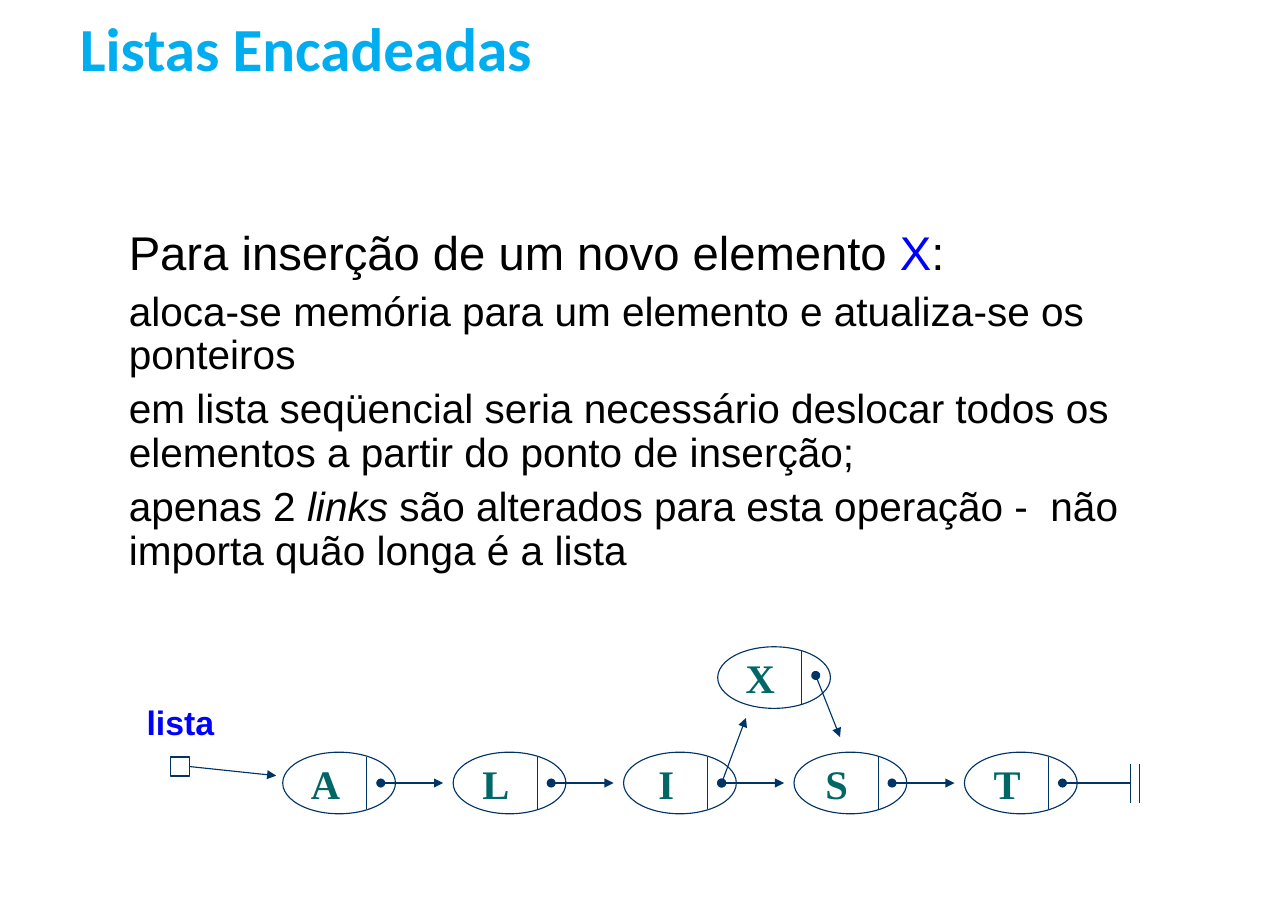
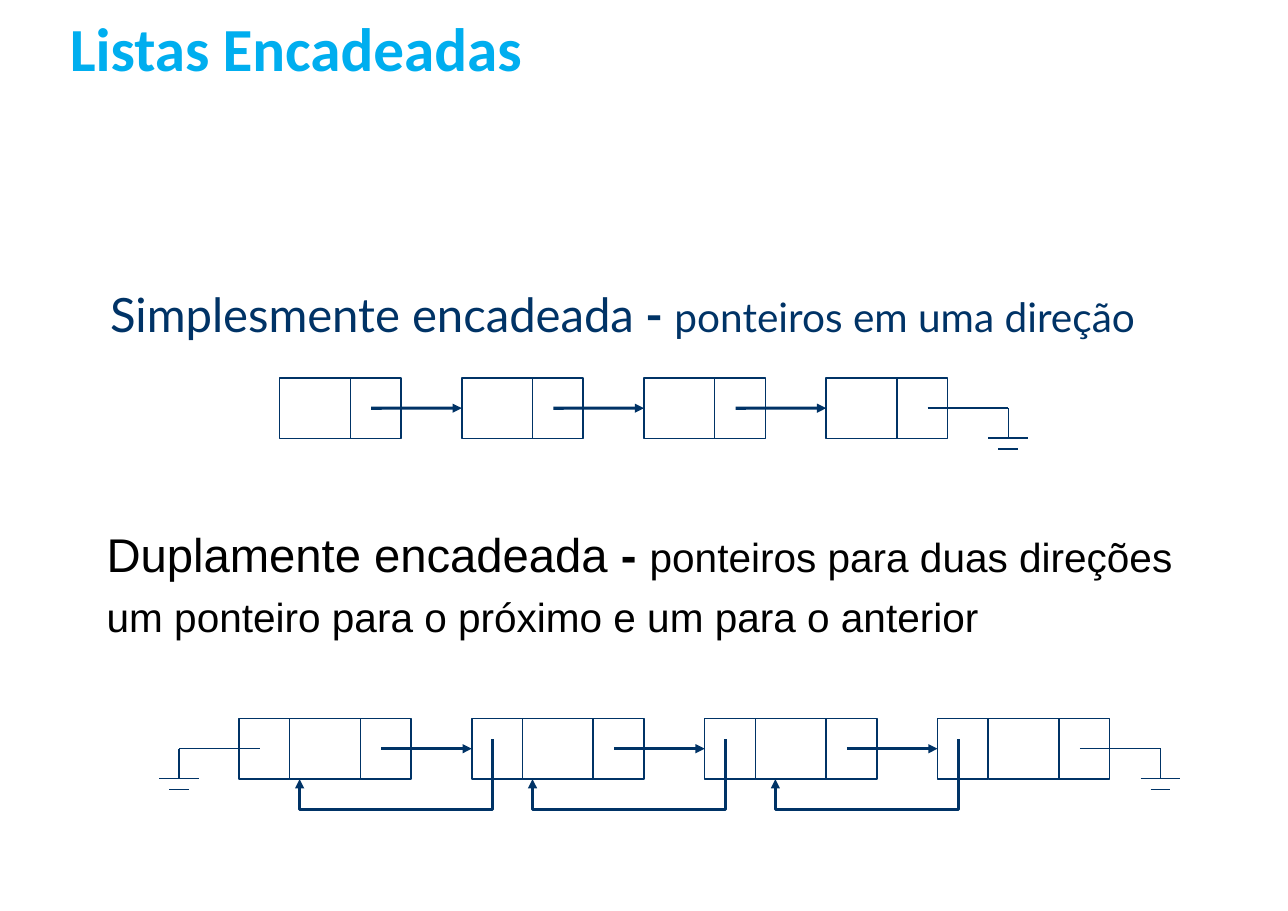
"""Build two slides about linked lists."""
from lxml import etree
from pptx import Presentation
from pptx.dml.color import RGBColor
from pptx.enum.shapes import MSO_CONNECTOR, MSO_SHAPE
from pptx.enum.text import MSO_ANCHOR, MSO_AUTO_SIZE, PP_ALIGN
from pptx.oxml.ns import qn
from pptx.util import Cm, Pt

STRAIGHT = MSO_CONNECTOR.STRAIGHT
OVAL, RECTANGLE = MSO_SHAPE.OVAL, MSO_SHAPE.RECTANGLE
TOP, MIDDLE, BOTTOM = MSO_ANCHOR.TOP, MSO_ANCHOR.MIDDLE, MSO_ANCHOR.BOTTOM
LEFT, CENTER = PP_ALIGN.LEFT, PP_ALIGN.CENTER
NO_AUTOFIT = MSO_AUTO_SIZE.NONE
LEFT_SIDE, RIGHT_SIDE = 1, 3

NAVY = RGBColor(0x00, 0x33, 0x66)
CYAN = RGBColor(0x00, 0xAE, 0xEF)
ORANGE = RGBColor(0xFF, 0x66, 0x00)
BLUE = RGBColor(0x00, 0x00, 0xFF)
TEAL = RGBColor(0x00, 0x66, 0x66)
BLACK = RGBColor(0x00, 0x00, 0x00)

LARGE, MEDIUM, SMALL = 30.9, 26.5, 22.1
THIN, NORMAL, THICK = 0.75, 1, 2

NODE_WIDTH, NODE_HEIGHT, NODE_PITCH = 2.6, 1.42, 3.93
DOT_X, DOT_Y, LINK_LENGTH = 2.26, 0.71, 1.44
DATA_WIDTH, POINTER_WIDTH, CELL_HEIGHT = 1.63, 1.17, 1.4
POINTER_START = 0.48


def add_run(paragraph, text, size, color, font="Arial", bold=False, italic=False):
    """Add one formatted run to a paragraph."""
    run = paragraph.add_run()
    run.text = text
    run.font.name = font
    run.font.size = Pt(size)
    run.font.color.rgb = color
    run.font.bold = bold
    run.font.italic = italic


def place(shape, left, top, width, height):
    """Move and size a shape, in centimetres."""
    shape.left, shape.top = Cm(left), Cm(top)
    shape.width, shape.height = Cm(width), Cm(height)


def set_frame(shape, anchor, insets):
    """Set wrapping, anchor and left, top, right, bottom insets; return the frame."""
    frame = shape.text_frame
    frame.word_wrap = True
    frame.auto_size = NO_AUTOFIT
    frame.vertical_anchor = anchor
    frame.margin_left, frame.margin_top, frame.margin_right, frame.margin_bottom = map(Cm, insets)
    return frame


def style_outline(shape, weight, head=None, tail=None):
    """Give a shape or connector a navy line with optional line ends."""
    shape.line.color.rgb = NAVY
    shape.line.width = Pt(weight)
    line = shape.element.spPr.find(qn("a:ln"))
    for tag, end in (("a:headEnd", head), ("a:tailEnd", tail)):
        if end:
            etree.SubElement(line, qn(tag), type=end)


def add_line(slide, start, end, weight, head=None, tail=None):
    """Draw a straight connector between two points in centimetres."""
    connector = slide.shapes.add_connector(STRAIGHT, *map(Cm, (*start, *end)))
    style_outline(connector, weight, head, tail)
    etree.SubElement(connector.element.spPr, qn("a:effectLst"))
    return connector


def add_outline(slide, kind, left, top, width, height, weight):
    """Draw an unfilled preset shape."""
    shape = slide.shapes.add_shape(kind, *map(Cm, (left, top, width, height)))
    shape.shadow.inherit = False
    shape.fill.background()
    style_outline(shape, weight)
    return shape


def add_titled_slide(presentation, title_left):
    """Add a title-and-content slide with the shared title."""
    slide = presentation.slides.add_slide(presentation.slide_layouts[1])
    title = slide.shapes.title
    place(title, title_left, 0.03, 23.83, 1.95)
    paragraph = set_frame(title, BOTTOM, (0.77, 0, 0.2, 0.04)).paragraphs[0]
    paragraph.alignment = LEFT
    add_run(paragraph, "Listas", 40, CYAN, "Calibri", bold=True)
    add_run(paragraph, " ", LARGE, ORANGE, bold=True)
    add_run(paragraph, "Encadeadas", 40, CYAN, "Calibri", bold=True)
    return slide


def fill_body(slide, box, paragraphs, line_spacing):
    """Fill the body placeholder from (level, space before, runs) entries."""
    body = slide.placeholders[1]
    place(body, *box)
    frame = set_frame(body, TOP, (0.2, 0.22, 0.2, 0.2))
    for index, (level, space_before, runs) in enumerate(paragraphs):
        paragraph = frame.add_paragraph() if index else frame.paragraphs[0]
        paragraph.level = level
        paragraph.alignment = LEFT
        paragraph.line_spacing = line_spacing
        paragraph.space_before = Pt(space_before)
        properties = paragraph._p.get_or_add_pPr()
        properties.set("marL", "0")
        properties.set("indent", "0")
        etree.SubElement(properties, qn("a:buNone"))
        for text, size, style in runs:
            add_run(paragraph, text, size, **{"color": BLACK, **style})


def add_oval_node(slide, left, top, letter):
    """Draw an oval list node with its letter and divider; return its dot position."""
    node = add_outline(slide, OVAL, left, top, NODE_WIDTH, NODE_HEIGHT, THIN)
    paragraph = set_frame(node, MIDDLE, (0, 0, 0.63, 0)).paragraphs[0]
    paragraph.alignment = CENTER
    add_run(paragraph, letter, MEDIUM, TEAL, "Times New Roman", bold=True)
    divider = left + 1.94
    add_line(slide, (divider, top + 0.1), (divider, top + 1.32), THIN)
    return left + DOT_X, top + DOT_Y


def draw_insertion(slide, left, top):
    """Draw the list A-L-I-S-T with X being inserted, from the label's left and X's top."""
    label = slide.shapes.add_textbox(Cm(left), Cm(top + 1.22), Cm(2.64), Cm(0.9))
    paragraph = set_frame(label, TOP, (0.05, 0.05, 0.05, 0.05)).paragraphs[0]
    paragraph.alignment = CENTER
    add_run(paragraph, "lista", SMALL, BLUE, bold=True)

    pointer = add_outline(slide, RECTANGLE, left + 1.09, top + 2.54, 0.44, 0.44, THIN)
    entry = add_line(slide, (left + 1.53, top + 2.76), (left + 3.53, top + 2.97), THIN, tail="triangle")
    entry.begin_connect(pointer, RIGHT_SIDE)

    dots = {}
    for index, letter in enumerate("ALIST"):
        dots[letter] = add_oval_node(slide, left + 3.68 + index * NODE_PITCH, top + 2.43, letter)
    for letter in "ALIS":
        x, y = dots[letter]
        add_line(slide, (x, y), (x + LINK_LENGTH, y), THIN, "oval", "triangle")

    x, y = dots["I"]
    add_line(slide, (x, y), (x + 0.56, y - 1.5), THIN, "oval", "triangle")
    x, y = add_oval_node(slide, left + 13.71, top, "X")
    add_line(slide, (x, y - 0.05), (x + 0.56, y + 1.37), THIN, "oval", "triangle")

    x, y = dots["T"]
    bar = x + 1.57
    add_line(slide, (x, y), (bar, y), THIN, head="oval")
    for bar_x in (bar, bar + 0.21):
        add_line(slide, (bar_x, y - 0.45), (bar_x, y + 0.45), THIN)


def draw_ground(slide, x, y, direction):
    """Draw a null pointer leaving (x, y) to the right (1) or left (-1)."""
    post = x + direction * 1.86
    bar = y + 0.69
    add_line(slide, (x, y), (post, y), NORMAL)
    add_line(slide, (post, y), (post, bar), NORMAL)
    for half_width, drop in ((0.46, 0), (0.23, 0.25)):
        add_line(slide, (post - half_width, bar + drop), (post + half_width, bar + drop), NORMAL)


def draw_cells(slide, left, top, widths, pitch):
    """Draw four nodes of adjoining cells joined by forward arrows; return the node lefts."""
    lefts = [left + index * pitch for index in range(4)]
    nodes = []
    for node_left in lefts:
        nodes.append([
            add_outline(slide, RECTANGLE, node_left + sum(widths[:index]), top, width, CELL_HEIGHT, NORMAL)
            for index, width in enumerate(widths)
        ])
    middle = top + CELL_HEIGHT / 2
    start = sum(widths[:-1]) + POINTER_START
    for node_left, following in zip(lefts, nodes[1:]):
        arrow = add_line(slide, (node_left + start, middle), (node_left + pitch, middle), THICK, tail="triangle")
        arrow.end_connect(following[0], LEFT_SIDE)
    return lefts


def draw_single_chain(slide, left, top):
    """Draw the singly linked list."""
    lefts = draw_cells(slide, left, top, (DATA_WIDTH, POINTER_WIDTH), 4.2)
    draw_ground(slide, lefts[-1] + DATA_WIDTH + 0.71, top + CELL_HEIGHT / 2, 1)


def draw_double_chain(slide, left, top):
    """Draw the doubly linked list with its backward arrows."""
    lefts = draw_cells(slide, left, top, (POINTER_WIDTH, DATA_WIDTH, POINTER_WIDTH), 5.37)
    for node_left, next_left, landing in zip(lefts, lefts[1:], (1.4, 1.4, 1.63)):
        start, end, low = next_left + POINTER_START, node_left + landing, top + 2.11
        builder = slide.shapes.build_freeform(Cm(start), Cm(top + 0.48))
        corners = ((start, low), (end, low), (end, top + CELL_HEIGHT))
        builder.add_line_segments([(Cm(x), Cm(y)) for x, y in corners], close=False)
        back = builder.convert_to_shape()
        back.shadow.inherit = False
        back.fill.background()
        style_outline(back, THICK, tail="triangle")
    middle = top + CELL_HEIGHT / 2
    draw_ground(slide, lefts[0] + POINTER_START, middle, -1)
    draw_ground(slide, lefts[-1] + POINTER_WIDTH + DATA_WIDTH + POINTER_START, middle, 1)


def add_single_heading(slide, left, top, width, height):
    """Add the heading of the singly linked list."""
    heading = slide.shapes.add_textbox(*map(Cm, (left, top, width, height)))
    paragraph = set_frame(heading, TOP, (0.28, 0.15, 0.28, 0.15)).paragraphs[0]
    add_run(paragraph, "Simplesmente encadeada", LARGE, NAVY, "Lato")
    add_run(paragraph, " - ", LARGE, NAVY, "Lato", bold=True)
    add_run(paragraph, "ponteiros em uma direção", MEDIUM, NAVY, "Lato")


def build_insertion_slide(presentation):
    """Build the slide on inserting an element."""
    slide = add_titled_slide(presentation, 1.07)
    paragraphs = [
        (0, 7.7, [("Para inserção de um novo elemento ", LARGE, {}),
                  ("X", LARGE, {"color": BLUE}),
                  (":", LARGE, {})]),
        (1, 6.6, [("aloca-se memória para um elemento e atualiza-se os ponteiros", MEDIUM, {})]),
        (1, 6.6, [("em lista seqüencial seria necessário deslocar todos os "
                   "elementos a partir do ponto de inserção;", MEDIUM, {})]),
        (1, 6.6, [("apenas 2 ", MEDIUM, {}),
                  ("links", MEDIUM, {"italic": True}),
                  (" são alterados para esta operação -  não importa quão longa é a lista", MEDIUM, {})]),
    ]
    fill_body(slide, (2.77, 5.08, 25.1, 9.17), paragraphs, 0.9)
    draw_insertion(slide, 2.84, 14.91)


def build_kinds_slide(presentation):
    """Build the slide on singly and doubly linked lists."""
    slide = add_titled_slide(presentation, 0.84)
    paragraphs = [
        (0, 6.6, [("Duplamente encadeada", LARGE, {}),
                  (" - ", LARGE, {"bold": True}),
                  ("ponteiros para duas direções", MEDIUM, {})]),
        (1, 6.6, [("um ponteiro para o próximo e um para o anterior", MEDIUM, {})]),
    ]
    fill_body(slide, (2.26, 11.89, 26, 3.96), paragraphs, 1.0)
    draw_double_chain(slide, 5.51, 16.56)
    draw_single_chain(slide, 6.45, 8.71)
    add_single_heading(slide, 2.26, 6.43, 25.04, 2)


def main():
    """Create and save the presentation."""
    presentation = Presentation()
    presentation.slide_width, presentation.slide_height = Cm(29.7), Cm(21)
    build_insertion_slide(presentation)
    build_kinds_slide(presentation)
    presentation.save("out.pptx")


if __name__ == "__main__":
    main()
